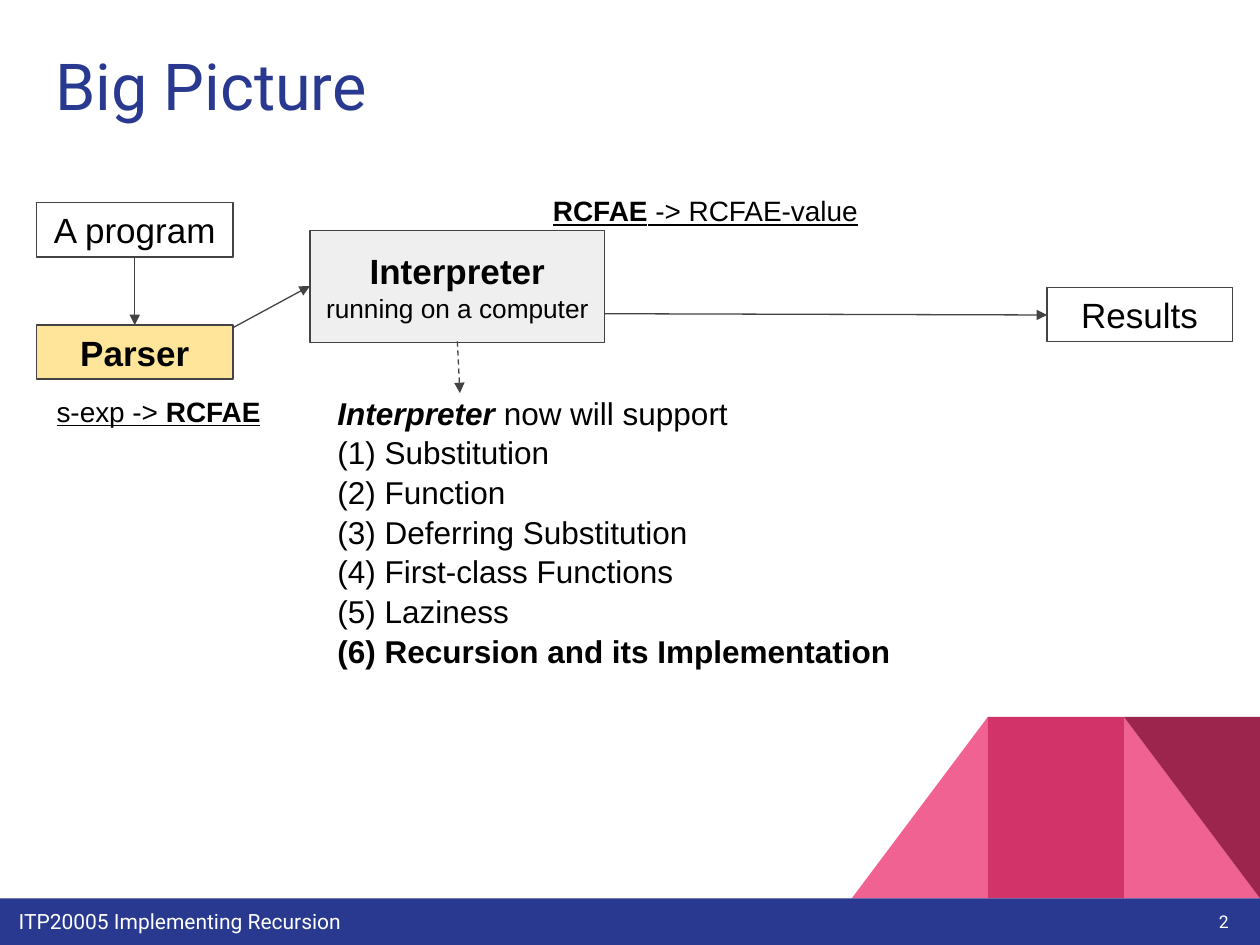
from lxml import etree
from pptx import Presentation
from pptx.dml.color import RGBColor
from pptx.enum import dml, shapes, text
from pptx.oxml import ns
from pptx.util import Inches, Pt

BLACK = RGBColor(0x00, 0x00, 0x00)
WHITE = RGBColor(0xFF, 0xFF, 0xFF)
NAVY = RGBColor(0x2A, 0x39, 0x90)
GRAPHITE = RGBColor(0x43, 0x43, 0x43)
PALE_GREY = RGBColor(0xEF, 0xEF, 0xEF)
YELLOW = RGBColor(0xFF, 0xE5, 0x99)
PINK = RGBColor(0xF0, 0x62, 0x92)
CRIMSON = RGBColor(0xD2, 0x33, 0x69)
MAROON = RGBColor(0x9C, 0x25, 0x4D)

RECT = shapes.MSO_SHAPE.RECTANGLE
TRIANGLE = shapes.MSO_SHAPE.RIGHT_TRIANGLE
LEFT, CENTER, RIGHT = text.PP_ALIGN.LEFT, text.PP_ALIGN.CENTER, text.PP_ALIGN.RIGHT
TOP, MIDDLE = text.MSO_ANCHOR.TOP, text.MSO_ANCHOR.MIDDLE

BOLD = {"bold": True}
UNDERLINE = {"underline": True}


def write(shape, paragraphs, size, font="Arial", color=BLACK, align=LEFT,
          anchor=TOP, spacing=1.0):
    """Fill a shape with paragraphs, each a list of (words, font formats) runs."""
    frame = shape.text_frame
    margins = {f"margin_{side}": Inches(0.1) for side in ("left", "right", "top", "bottom")}
    for name, value in {**margins, "word_wrap": True, "vertical_anchor": anchor,
                        "auto_size": text.MSO_AUTO_SIZE.NONE}.items():
        setattr(frame, name, value)
    for index, runs in enumerate(paragraphs):
        paragraph = frame.add_paragraph() if index else frame.paragraphs[0]
        paragraph.alignment = align
        paragraph.line_spacing = spacing
        for words, formats in runs:
            run = paragraph.add_run()
            run.text = words
            run.font.color.rgb = color
            for name, value in {"name": font, "size": Pt(size), **formats}.items():
                setattr(run.font, name, value)


def add_block(slide, kind, area, fill=None, line=None):
    block = slide.shapes.add_shape(kind, *map(Inches, area))
    block.shadow.inherit = False
    if fill is None:
        block.fill.background()
    else:
        block.fill.solid()
        block.fill.fore_color.rgb = fill
    if line is None:
        block.line.fill.background()
    else:
        block.line.color.rgb = line
        block.line.width = Pt(0.75)
    return block


def add_stage(slide, area, paragraphs, fill=None):
    stage = add_block(slide, RECT, area, fill, GRAPHITE)
    write(stage, paragraphs, 20, align=CENTER, anchor=MIDDLE)


def add_label(slide, area, paragraphs, size, **formats):
    label = slide.shapes.add_textbox(*map(Inches, area))
    write(label, paragraphs, size, **formats)


def add_arrow(slide, start, end, dashed=False):
    arrow = slide.shapes.add_connector(
        shapes.MSO_CONNECTOR.STRAIGHT, *map(Inches, (*start, *end)))
    arrow.line.color.rgb = GRAPHITE
    arrow.line.width = Pt(0.75)
    if dashed:
        arrow.line.dash_style = dml.MSO_LINE.DASH
    etree.SubElement(arrow.line._get_or_add_ln(), ns.qn("a:tailEnd"), type="triangle")
    etree.SubElement(arrow._element.spPr, ns.qn("a:effectLst"))


def add_footer_art(slide):
    width, height, top = 1.08, 1.44, 5.69
    outer, middle, inner = (10 - n * width for n in (3, 2, 1))
    add_block(slide, TRIANGLE, (inner, top, width, height), PINK)
    slope = add_block(slide, TRIANGLE, (outer, top, width, height), PINK)
    slope._element.spPr.get_or_add_xfrm().set("flipH", "1")
    add_block(slide, RECT, (middle, top, width, height), CRIMSON)
    add_block(slide, TRIANGLE, (inner, top, width, height), MAROON).rotation = 180
    add_block(slide, RECT, (0, 7.13, 10, 0.37), NAVY)


def add_title(slide, words):
    title = slide.shapes.title
    for name, value in zip(("left", "top", "width", "height"), (0.34, 0.26, 9.32, 0.89)):
        setattr(title, name, Inches(value))
    write(title, [[(words, {})]], 37, "Roboto", NAVY)


def add_pipeline(slide):
    add_stage(slide, (2.46, 1.83, 2.34, 0.89),
              [[("Interpreter", BOLD)], [("running on a computer", {"size": Pt(15)})]],
              PALE_GREY)
    add_stage(slide, (0.29, 1.61, 1.56, 0.43), [[("A program", {})]])
    add_stage(slide, (8.31, 2.28, 1.47, 0.43), [[("Results", {})]])
    add_stage(slide, (0.29, 2.58, 1.56, 0.43), [[("Parser", BOLD)]], YELLOW)

    add_arrow(slide, (1.85, 2.6), (2.46, 2.27))
    add_arrow(slide, (1.07, 2.05), (1.07, 2.58))
    add_arrow(slide, (4.8, 2.49), (8.31, 2.5))
    add_arrow(slide, (3.63, 2.71), (3.65, 3.12), dashed=True)

    language = ("RCFAE", {**BOLD, **UNDERLINE})
    add_label(slide, (0.35, 3.03, 2.11, 0.4), [[("s-exp -> ", UNDERLINE), language]], 16)
    add_label(slide, (4.29, 1.44, 2.85, 0.33),
              [[language, (" -> RCFAE-value", UNDERLINE)]], 16)


def add_features(slide):
    features = ["Substitution", "Function", "Deferring Substitution",
                "First-class Functions", "Laziness", "Recursion and its Implementation"]
    lines = [[("Interpreter ", {"bold": True, "italic": True}), ("now will support", {})]]
    for number, feature in enumerate(features, 1):
        newest = number == len(features)
        lines.append([(f"({number}) {feature}", BOLD if newest else {})])
    add_label(slide, (2.58, 3.01, 6.52, 3.16), lines, 18, spacing=1.05)


def main():
    deck = Presentation()
    deck.slide_width, deck.slide_height = Inches(10), Inches(7.5)
    slide = deck.slides.add_slide(deck.slide_layouts[5])
    add_footer_art(slide)
    add_label(slide, (0.05, 7.11, 7.35, 0.36),
              [[("ITP20005 Implementing Recursion", {})]], 12, font="Roboto", color=WHITE)
    add_title(slide, "Big Picture")
    add_label(slide, (9.25, 7.03, 0.6, 0.57), [[("2", {})]], 10,
              font="Roboto", color=WHITE, align=RIGHT, anchor=MIDDLE)
    add_pipeline(slide)
    add_features(slide)
    deck.save("out.pptx")


if __name__ == "__main__":
    main()
